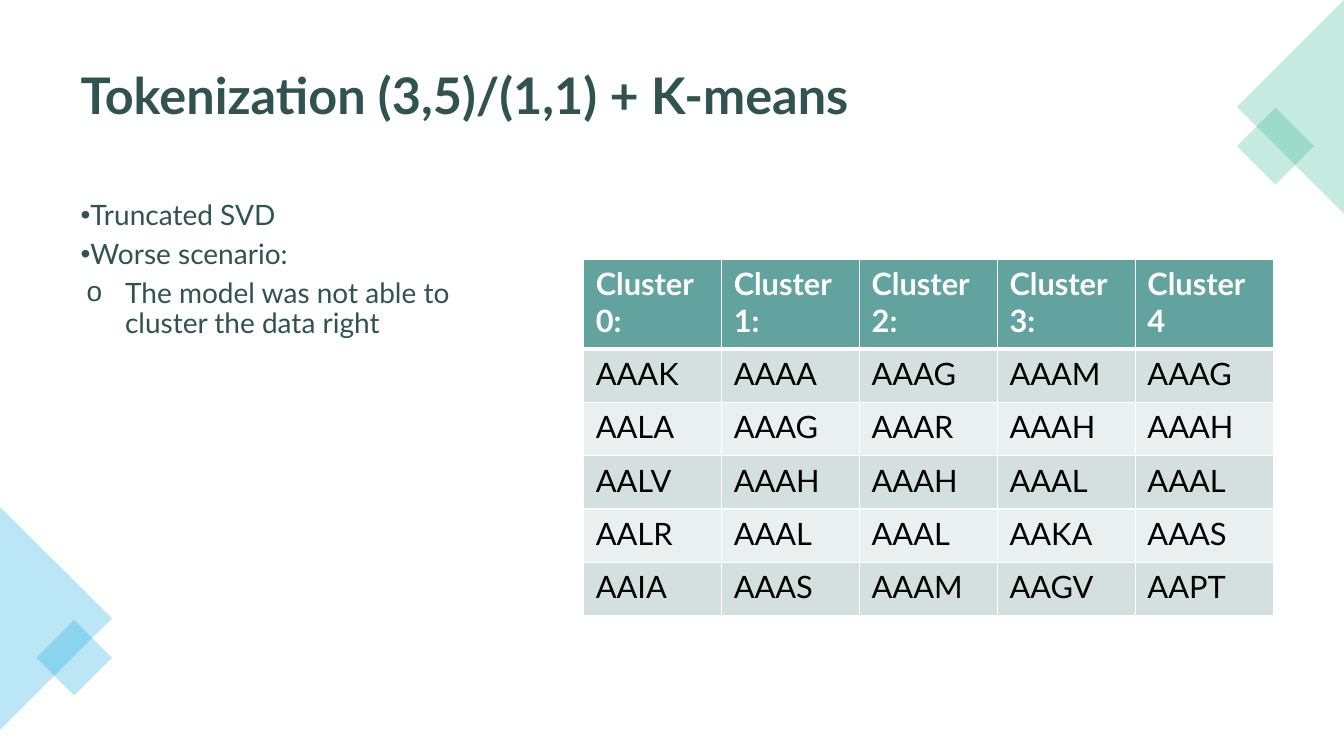
import pptx
import pptx.util
import pptx.dml.color
import pptx.enum.shapes
import pptx.enum.text
import pptx.oxml
import pptx.oxml.ns
import lxml.etree

Inches = pptx.util.Inches
Pt = pptx.util.Pt
RGBColor = pptx.dml.color.RGBColor
MSO_SHAPE = pptx.enum.shapes.MSO_SHAPE
qn = pptx.oxml.ns.qn

FONT = "Lato"
DARK_TEAL = RGBColor(0x30, 0x52, 0x50)
HEADER_TEAL = RGBColor(0x62, 0xA3, 0x9F)
BAND_DARK = RGBColor(0xD3, 0xE0, 0xDF)
BAND_LIGHT = RGBColor(0xEA, 0xF0, 0xF0)
WHITE = RGBColor(0xFF, 0xFF, 0xFF)
BLACK = RGBColor(0, 0, 0)
BLUE = RGBColor(0x1C, 0xAD, 0xE4)
GREEN = RGBColor(0x42, 0xBA, 0x97)

BULLETS = [
    ("Truncated SVD", 0, 0, -0.25, "•"),
    ("Worse scenario:", 0, 0, -0.25, "•"),
    ("The model was not able to cluster the data right", 1, 0.44, -0.38, "o"),
]
CLUSTERS = [
    ["Cluster 0:", "Cluster 1:", "Cluster 2:", "Cluster 3:", "Cluster 4"],
    ["AAAK", "AAAA", "AAAG", "AAAM", "AAAG"],
    ["AALA", "AAAG", "AAAR", "AAAH", "AAAH"],
    ["AALV", "AAAH", "AAAH", "AAAL", "AAAL"],
    ["AALR", "AAAL", "AAAL", "AAKA", "AAAS"],
    ["AAIA", "AAAS", "AAAM", "AAGV", "AAPT"],
]


def place(shape, left, top, width, height):
    shape.left, shape.top = Inches(left), Inches(top)
    shape.width, shape.height = Inches(width), Inches(height)


def format_runs(paragraph, size, color, bold=False):
    for run in paragraph.runs:
        run.font.name = FONT
        run.font.size = Pt(size)
        run.font.bold = bold
        run.font.color.rgb = color


def add_title(slide, left, top, width, height):
    title = slide.shapes.title
    place(title, left, top, width, height)
    text_frame = title.text_frame
    text_frame.text = "Tokenization (3,5)/(1,1) + K-means"
    text_frame.auto_size = pptx.enum.text.MSO_AUTO_SIZE.NONE
    text_frame.vertical_anchor = pptx.enum.text.MSO_ANCHOR.MIDDLE
    paragraph = text_frame.paragraphs[0]
    paragraph.alignment = pptx.enum.text.PP_ALIGN.LEFT
    paragraph.line_spacing = 0.9
    format_runs(paragraph, 36, DARK_TEAL, True)


def add_bullets(slide, left, top, width, height):
    body = slide.placeholders[1]
    place(body, left, top, width, height)
    text_frame = body.text_frame
    text_frame.text = "\n".join(bullet[0] for bullet in BULLETS)
    text_frame.auto_size = pptx.enum.text.MSO_AUTO_SIZE.NONE
    for paragraph, bullet in zip(text_frame.paragraphs, BULLETS):
        _, level, margin, indent, character = bullet
        paragraph.level = level
        paragraph.line_spacing = 0.9
        paragraph.space_before = Pt(0)
        paragraph.space_after = Pt(6)
        format_runs(paragraph, 20, DARK_TEAL)
        properties = paragraph._p.get_or_add_pPr()
        properties.set("marL", str(Inches(margin)))
        properties.set("indent", str(Inches(indent)))
        lxml.etree.SubElement(properties, qn("a:buChar")).set("char", character)


def add_translucent_shape(slide, kind, box, rotation, color):
    shape = slide.shapes.add_shape(kind, *map(Inches, box))
    shape.rotation = rotation
    shape.shadow.inherit = False
    shape.line.fill.background()
    shape.fill.solid()
    shape.fill.fore_color.rgb = color
    color_element = shape._element.spPr.find(".//" + qn("a:srgbClr"))
    lxml.etree.SubElement(color_element, qn("a:alpha")).set("val", "30000")


def add_corner(slide, left, top, width, height, rotation, diamond, color):
    triangle = (left + (width - height) / 2, top + (height - width) / 2, height, width)
    diamond_left, diamond_top, side = diamond
    square = (left + diamond_left, top + diamond_top, side, side)
    add_translucent_shape(slide, MSO_SHAPE.ISOSCELES_TRIANGLE, triangle, rotation, color)
    add_translucent_shape(slide, MSO_SHAPE.RECTANGLE, square, 45, color)


def add_cell_border(cell, side, points):
    line = lxml.etree.SubElement(cell._tc.get_or_add_tcPr(), qn("a:ln" + side))
    line.set("w", str(Pt(points)))
    fill = lxml.etree.SubElement(line, qn("a:solidFill"))
    lxml.etree.SubElement(fill, qn("a:srgbClr")).set("val", str(WHITE))


def format_cell(cell, text, row):
    cell.text = text
    cell.margin_left = cell.margin_right = Inches(0.12)
    cell.margin_top = cell.margin_bottom = Inches(0.06)
    header = row == 0
    format_runs(cell.text_frame.paragraphs[0], 22, WHITE if header else BLACK, header)
    for side in "LRTB":
        thick = (row, side) in ((0, "B"), (1, "T"))
        add_cell_border(cell, side, 3 if thick else 1)
    cell.fill.solid()
    band = BAND_DARK if row % 2 else BAND_LIGHT
    cell.fill.fore_color.rgb = HEADER_TEAL if header else band


def add_cluster_table(slide, left, top, width, height):
    row_count, column_count = len(CLUSTERS), len(CLUSTERS[0])
    header_height = 0.89
    row_height = (height - header_height) / (row_count - 1)
    box = map(Inches, (left, top, width, height))
    table = slide.shapes.add_table(row_count, column_count, *box).table
    for column in table.columns:
        column.width = Inches(width / column_count)
    for row, texts in enumerate(CLUSTERS):
        table.rows[row].height = Inches(row_height if row else header_height)
        for column, text in enumerate(texts):
            format_cell(table.cell(row, column), text, row)


def main():
    presentation = pptx.Presentation()
    presentation.slide_width = Inches(13.33)
    presentation.slide_height = Inches(7.5)
    slide = presentation.slides.add_slide(presentation.slide_layouts[1])
    add_title(slide, 0.7, 0.35, 11.93, 1.24)
    add_bullets(slide, 0.7, 1.95, 4.38, 1.95)
    add_corner(slide, 0, 5.03, 1.11, 2.21, 90, (0.47, 1.23, 0.53), BLUE)
    add_corner(slide, 12.27, 0, 1.06, 2.12, 270, (0.11, 1.18, 0.54), GREEN)
    add_cluster_table(slide, 5.79, 2.57, 6.84, 3.54)
    presentation.save("out.pptx")


if __name__ == "__main__":
    main()
